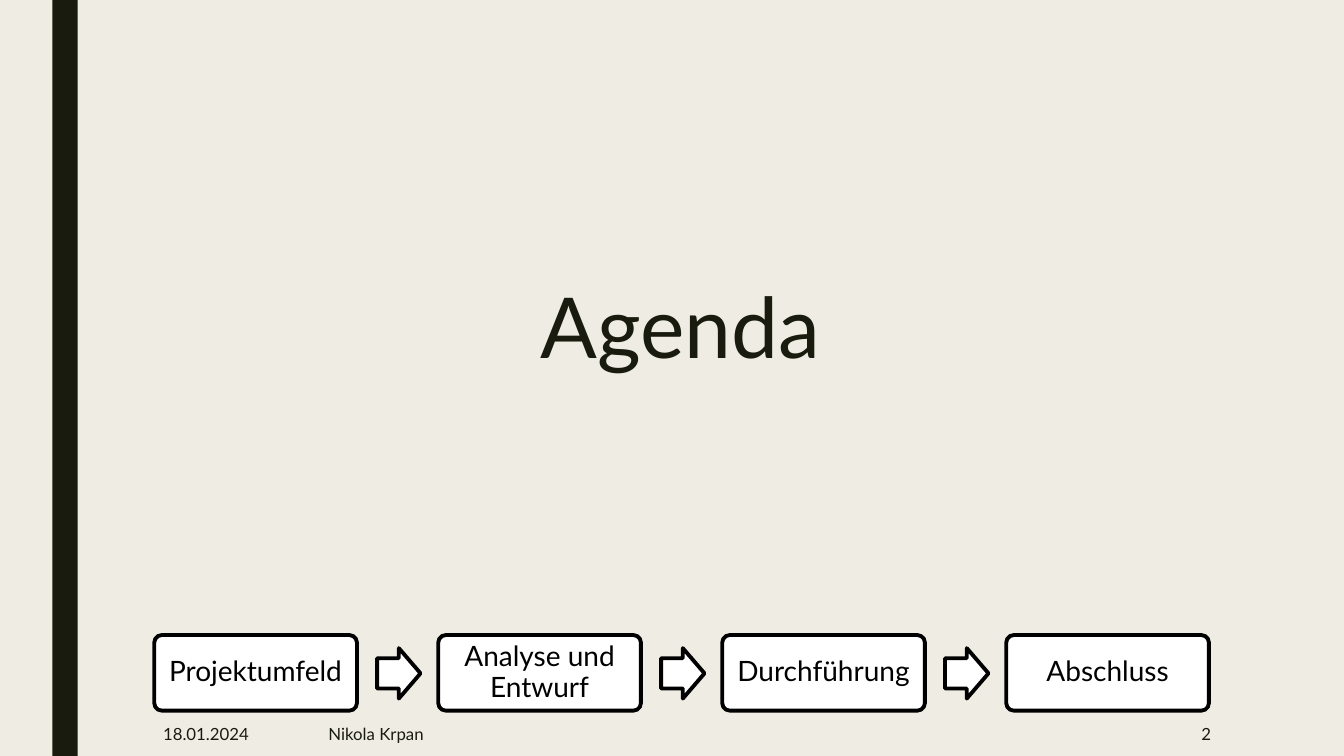
from dataclasses import dataclass

from pptx import Presentation
from pptx.dml.color import RGBColor
from pptx.enum.shapes import MSO_SHAPE
from pptx.enum.text import MSO_ANCHOR, PP_ALIGN
from pptx.shapes.autoshape import Shape
from pptx.slide import Slide
from pptx.util import Inches, Pt

RECT = MSO_SHAPE.RECTANGLE
ROUND = MSO_SHAPE.ROUNDED_RECTANGLE
ARROW = MSO_SHAPE.RIGHT_ARROW
TOP, MIDDLE = MSO_ANCHOR.TOP, MSO_ANCHOR.MIDDLE
LEFT, CENTER, RIGHT = PP_ALIGN.LEFT, PP_ALIGN.CENTER, PP_ALIGN.RIGHT

WIDE, HIGH = Inches(13.33), Inches(7.5)


@dataclass(frozen=True)
class Theme:
    font: str = "Lato"
    paper: RGBColor = RGBColor(0xEF, 0xED, 0xE3)
    ink: RGBColor = RGBColor(0x19, 0x1B, 0x0E)
    black: RGBColor = RGBColor(0, 0, 0)
    white: RGBColor = RGBColor(0xFF, 0xFF, 0xFF)
    title: int = 60
    step: int = 20
    foot: int = 12
    line: float = 2.75


@dataclass(frozen=True)
class Box:
    """Shares of the slide, in percent."""
    x: float
    y: float
    w: float
    h: float

    def place(self) -> tuple[int, int, int, int]:
        return (round(WIDE * self.x / 100), round(HIGH * self.y / 100),
                round(WIDE * self.w / 100), round(HIGH * self.h / 100))


@dataclass(frozen=True)
class Foot:
    text: str
    x: float
    w: float
    align: PP_ALIGN


THEME = Theme()
BAR = Box(3.9, 0, 1.88, 100)
TITLE = Box(11.25, 37.2, 78.77, 21.6)
STEPS = ("Projektumfeld", "Analyse und Entwurf", "Durchführung", "Abschluss")
START, PITCH, SHIFT = 11.48, 21.13, 16.58
FOOTS = (
    Foot("18.01.2024", 11.4, 9.9, LEFT),
    Foot("Nikola Krpan", 23.7, 51.54, LEFT),
    Foot("2", 77.72, 13.13, RIGHT),
)


def write(shape: Shape, text: str, size: int, color: RGBColor,
          align: PP_ALIGN, anchor: MSO_ANCHOR, space: float = 1) -> None:
    frame = shape.text_frame
    frame.word_wrap = True
    frame.vertical_anchor = anchor
    para = frame.paragraphs[0]
    para.alignment = align
    para.line_spacing = space
    run = para.add_run()
    run.text = text
    run.font.name = THEME.font
    run.font.size = Pt(size)
    run.font.color.rgb = color


def draw(slide: Slide, kind: MSO_SHAPE, box: Box, fill: RGBColor,
         line: RGBColor | None = None) -> Shape:
    shape = slide.shapes.add_shape(kind, *box.place())
    shape.shadow.inherit = False
    shape.fill.solid()
    shape.fill.fore_color.rgb = fill
    if line is None:
        shape.line.fill.background()
    else:
        shape.line.color.rgb = line
        shape.line.width = Pt(THEME.line)
    return shape


def draw_step(slide: Slide, index: int, text: str) -> None:
    x = START + index * PITCH
    card = draw(slide, ROUND, Box(x, 84, 15.08, 10), THEME.white, THEME.black)
    card.adjustments[0] = 0.1
    frame = card.text_frame
    frame.margin_left = frame.margin_right = Inches(0.08)
    frame.margin_top = frame.margin_bottom = Inches(0.08)
    write(card, text, THEME.step, THEME.black, CENTER, MIDDLE, 0.9)
    if index < len(STEPS) - 1:
        arrow = draw(slide, ARROW, Box(x + SHIFT, 85.73, 3.23, 6.67),
                     THEME.white, THEME.black)
        arrow.adjustments[0] = 0.6
        arrow.adjustments[1] = 0.5


def draw_foot(slide: Slide, foot: Foot) -> None:
    box = Box(foot.x, 94.13, foot.w, 5.87)
    shape = slide.shapes.add_textbox(*box.place())
    write(shape, foot.text, THEME.foot, THEME.ink, foot.align, MIDDLE)


def main() -> None:
    deck = Presentation()
    deck.slide_width, deck.slide_height = WIDE, HIGH
    slide = deck.slides.add_slide(deck.slide_layouts[5])
    slide.background.fill.solid()
    slide.background.fill.fore_color.rgb = THEME.paper

    draw(slide, RECT, BAR, THEME.ink)
    for foot in FOOTS:
        draw_foot(slide, foot)
    for index, text in enumerate(STEPS):
        draw_step(slide, index, text)

    title = slide.shapes.title
    title.left, title.top, title.width, title.height = TITLE.place()
    write(title, "Agenda", THEME.title, THEME.ink, CENTER, TOP, 0.89)

    deck.save("out.pptx")


if __name__ == "__main__":
    main()
